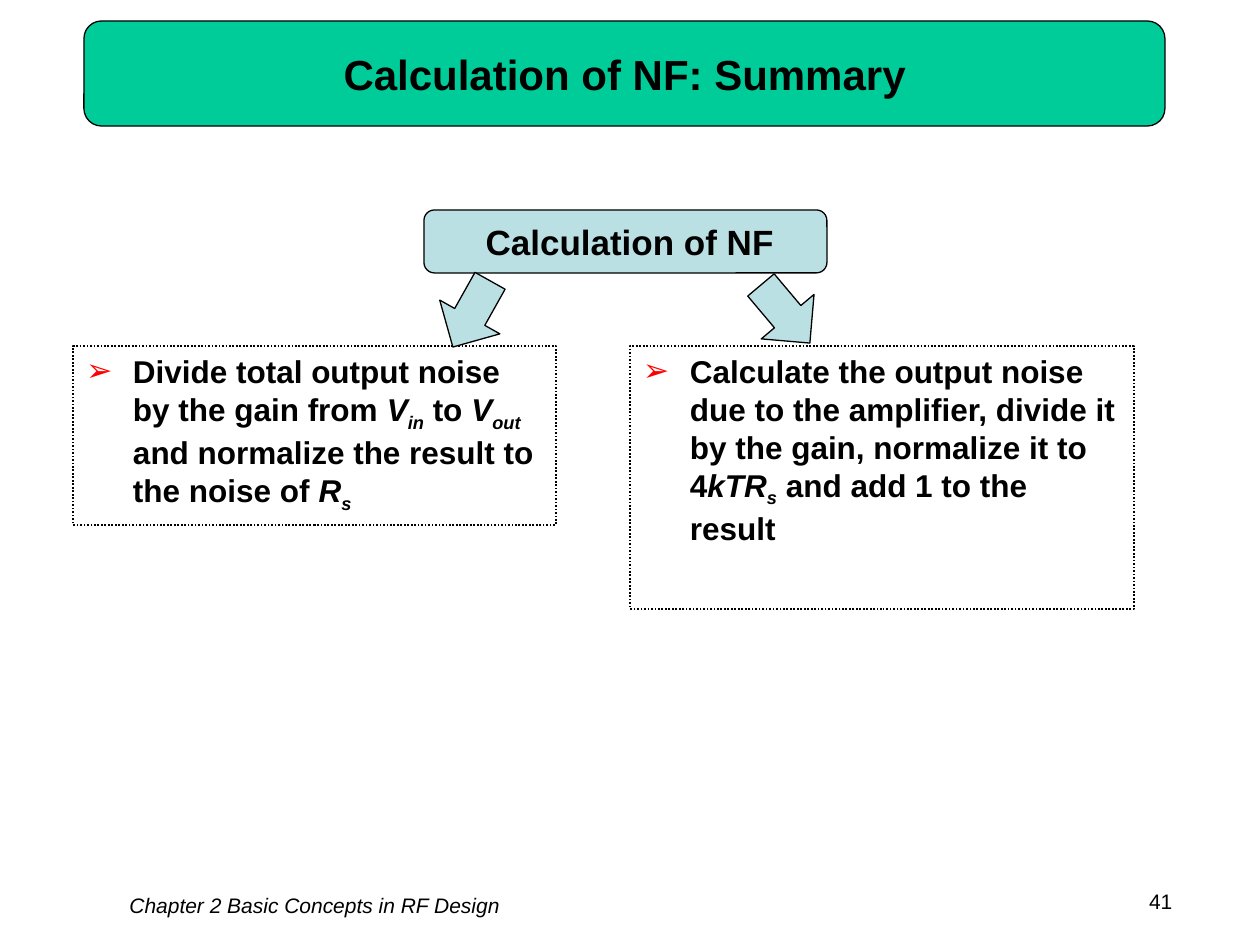
from lxml.etree import SubElement as Sub
from pptx import Presentation
from pptx.dml.color import RGBColor as Rgb
from pptx.enum.dml import MSO_LINE as Dash
from pptx.enum.shapes import MSO_SHAPE as Kind
from pptx.enum.text import MSO_ANCHOR as Anchor, PP_ALIGN as Align
from pptx.oxml.ns import qn
from pptx.util import Emu, Pt

COLORS = {"title": "00CC99", "head": "BBE0E3", "ink": "000000", "mark": "FF0000"}
SCALE = 914400 / 126
HANG = 47


def px(n):
    """Turn pixels into EMU."""
    return Emu(round(n * SCALE))


def tint(name):
    """Look up a colour by name."""
    return Rgb.from_string(COLORS[name])


def shape(slide, kind, box, fill=None, width=0.75, dash=None, turn=0, adj=()):
    """Draw a preset shape with an ink outline."""
    item = slide.shapes.add_shape(kind, *map(px, box))
    item.shadow.inherit = False
    if fill:
        item.fill.solid()
        item.fill.fore_color.rgb = tint(fill)
    else:
        item.fill.background()
    item.line.color.rgb = tint("ink")
    item.line.width = Pt(width)
    if dash:
        item.line.dash_style = dash
    item.rotation = turn
    for i, part in enumerate(adj):
        item.adjustments[i] = part
    return item


def bullet(para):
    """Give a paragraph a hanging red arrow bullet."""
    props = para._p.get_or_add_pPr()
    props.set("marL", str(px(HANG)))
    props.set("indent", str(-px(HANG)))
    color = Sub(props, qn("a:buClr"))
    Sub(color, qn("a:srgbClr"), val=COLORS["mark"])
    Sub(props, qn("a:buFont"), typeface="Arial")
    Sub(props, qn("a:buChar"), char="➢")


def write(item, runs, size, bold=False, italic=False, align=Align.CENTER,
          anchor=Anchor.TOP, mark=False, left=13):
    """Fill a shape with runs, each a text and a style: plain, var or sub."""
    frame = item.text_frame
    frame.word_wrap = True
    frame.vertical_anchor = anchor
    frame.margin_left = px(left)
    para = frame.paragraphs[0]
    para.alignment = align
    if mark:
        bullet(para)
    for text, style in runs:
        run = para.add_run()
        run.text = text
        font = run.font
        font.name, font.size = "Arial", Pt(size)
        font.bold, font.italic = bold, italic or style != "plain"
        font.color.rgb = tint("ink")
        if style == "sub":
            run._r.get_or_add_rPr().set("baseline", "-25000")


def banner(slide, box, text, fill, size, left=13):
    """Draw a rounded bar with a centred bold heading."""
    bar = shape(slide, Kind.ROUNDED_RECTANGLE, box, fill, adj=[0.167])
    write(bar, [(text, "plain")], size, bold=True, anchor=Anchor.MIDDLE, left=left)


def method(slide, box, runs):
    """Draw a dotted box with one bulleted method."""
    frame = shape(slide, Kind.RECTANGLE, box, width=1, dash=Dash.ROUND_DOT)
    write(frame, runs, 18, bold=True, align=Align.LEFT, mark=True)


def tree(slide, box):
    """Draw the heading, its two arrows and the two methods."""
    x, y, wide, high = box
    banner(slide, (x + 351, y, 403, 63), "Calculation of NF", "head", 20, left=21)
    method(slide, (x, y + 136, 483, 179), [
        ("Divide total output noise by the gain from ", "plain"),
        ("V", "var"), ("in", "sub"), (" to ", "plain"),
        ("V", "var"), ("out", "sub"),
        (" and normalize the result to the noise of ", "plain"),
        ("R", "var"), ("s", "sub")])
    method(slide, (x + wide - 504, y + 136, 504, high - 136), [
        ("Calculate the output noise due to the amplifier, divide it by the gain, "
         "normalize it to 4", "plain"),
        ("kTR", "var"), ("s", "sub"), (" and add 1 to the result", "plain")])
    for gap, turn in ((364, 29.3), (678, 319.9)):
        shape(slide, Kind.DOWN_ARROW, (x + gap, y + 66, 69, 76), "head",
              turn=turn, adj=[0.5, 0.5])


def footer(slide, box, text, italic=False):
    """Place a small centred footer text."""
    item = slide.shapes.add_textbox(*map(px, box))
    write(item, [(text, "plain")], 12, italic=italic)


def main():
    """Build and save the slide."""
    deck = Presentation()
    deck.slide_width, deck.slide_height = px(1260), px(945)
    slide = deck.slides.add_slide(deck.slide_layouts[6])
    banner(slide, (84, 21, 1081, 105), "Calculation of NF: Summary", "title", 24)
    tree(slide, (73, 210, 1061, 399))
    footer(slide, (10, 886, 609, 38), "Chapter 2 Basic Concepts in RF Design", italic=True)
    footer(slide, (1061, 882, 199, 38), "41")
    deck.save("out.pptx")


if __name__ == "__main__":
    main()
